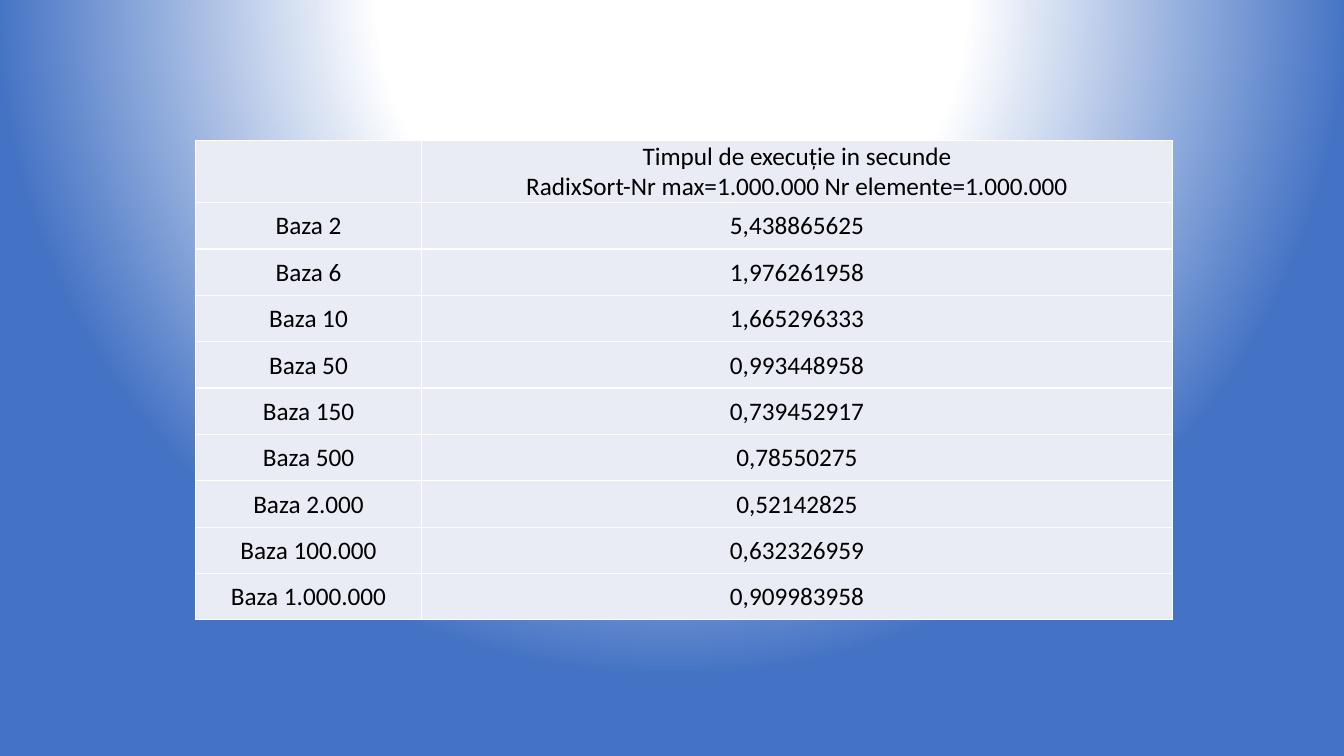
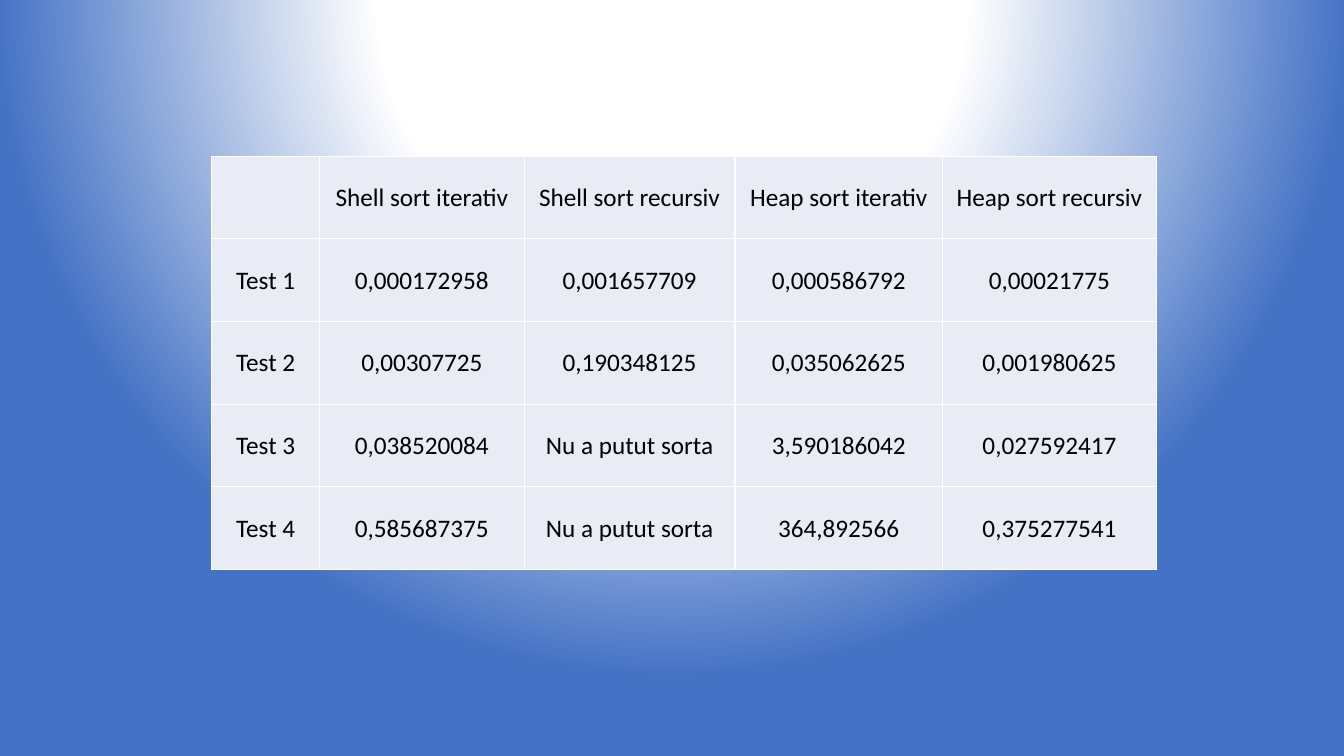
from dataclasses import dataclass

from pptx import Presentation
from pptx.dml.color import RGBColor
from pptx.enum.text import MSO_ANCHOR, PP_ALIGN
from pptx.oxml import parse_xml
from pptx.oxml.ns import nsdecls, qn
from pptx.util import Inches, Pt

TABLES = [
    {
        "left": 1.94, "top": 1.39, "high": 0.46,
        "cols": [2.24, 7.45],
        "rows": [
            ("", "Timpul de execuție in secunde\n"
                 "RadixSort-Nr max=1.000.000 Nr elemente=1.000.000"),
            ("Baza 2", "5,438865625"),
            ("Baza 6", "1,976261958"),
            ("Baza 10", "1,665296333"),
            ("Baza 50", "0,993448958"),
            ("Baza 150", "0,739452917"),
            ("Baza 500", "0,78550275"),
            ("Baza 2.000", "0,52142825"),
            ("Baza 100.000", "0,632326959"),
            ("Baza 1.000.000", "0,909983958"),
        ],
    },
    {
        "left": 2.1, "top": 1.55, "high": 0.82,
        "cols": [1.07, 2.03, 2.09, 2.06, 2.12],
        "rows": [
            ("", "Shell sort iterativ", "Shell sort recursiv",
             "Heap sort iterativ", "Heap sort recursiv"),
            ("Test 1", "0,000172958", "0,001657709", "0,000586792", "0,00021775"),
            ("Test 2", "0,00307725", "0,190348125", "0,035062625", "0,001980625"),
            ("Test 3", "0,038520084", "Nu a putut sorta", "3,590186042", "0,027592417"),
            ("Test 4", "0,585687375", "Nu a putut sorta", "364,892566", "0,375277541"),
        ],
    },
]


@dataclass(frozen=True)
class Theme:
    font: str = "Calibri"
    size: int = 18
    ink: str = "000000"
    cell: str = "E9EBF5"
    edge: str = "FFFFFF"
    glow: str = "FFFFFF"
    deep: str = "4472C4"
    line: int = 1


THEME = Theme()
FLAGS = {"first_row": False, "horz_banding": False}
CELL = {
    "vertical_anchor": MSO_ANCHOR.MIDDLE,
    "margin_left": Inches(0.01),
    "margin_right": Inches(0.01),
    "margin_top": Inches(0.01),
    "margin_bottom": 0,
}
FONT = {"name": THEME.font, "size": Pt(THEME.size), "bold": False}


def apply(item, values):
    for name, value in values.items():
        setattr(item, name, value)


def paint_back(master):
    data = master.element.find(qn("p:cSld"))
    for old in data.findall(qn("p:bg")):
        data.remove(old)
    data.insert(0, parse_xml(
        f'<p:bg {nsdecls("p", "a")}><p:bgPr>'
        '<a:gradFill rotWithShape="1"><a:gsLst>'
        f'<a:gs pos="0"><a:srgbClr val="{THEME.glow}"/></a:gs>'
        f'<a:gs pos="38000"><a:srgbClr val="{THEME.glow}">'
        '<a:alpha val="50000"/></a:srgbClr></a:gs>'
        f'<a:gs pos="88000"><a:srgbClr val="{THEME.deep}"/></a:gs>'
        '</a:gsLst><a:path path="circle">'
        '<a:fillToRect l="50000" t="-80000" r="50000" b="180000"/>'
        '</a:path></a:gradFill><a:effectLst/></p:bgPr></p:bg>'
    ))


def add_edges(cell):
    props = cell._tc.get_or_add_tcPr()
    for side in "LRTB":
        props.append(parse_xml(
            f'<a:ln{side} {nsdecls("a")} w="{Pt(THEME.line)}"><a:solidFill>'
            f'<a:srgbClr val="{THEME.edge}"/></a:solidFill></a:ln{side}>'
        ))


def fill_cell(cell, text):
    cell.text = text
    apply(cell, CELL)
    add_edges(cell)
    cell.fill.solid()
    cell.fill.fore_color.rgb = RGBColor.from_string(THEME.cell)
    for para in cell.text_frame.paragraphs:
        para.alignment = PP_ALIGN.CENTER
        for run in para.runs:
            apply(run.font, FONT)
            run.font.color.rgb = RGBColor.from_string(THEME.ink)


def draw_table(slide, data):
    rows, cols, high = data["rows"], data["cols"], data["high"]
    table = slide.shapes.add_table(
        len(rows), len(cols), Inches(data["left"]), Inches(data["top"]),
        Inches(sum(cols)), Inches(high * len(rows)),
    ).table
    apply(table, FLAGS)
    for col, wide in zip(table.columns, cols):
        col.width = Inches(wide)
    for row, texts in zip(table.rows, rows):
        row.height = Inches(high)
        for cell, text in zip(row.cells, texts):
            fill_cell(cell, text)


def main():
    deck = Presentation()
    apply(deck, {"slide_width": Inches(13.33), "slide_height": Inches(7.5)})
    paint_back(deck.slide_master)
    blank = deck.slide_layouts.get_by_name("Blank")
    for data in TABLES:
        draw_table(deck.slides.add_slide(blank), data)
    deck.save("out.pptx")


if __name__ == "__main__":
    main()
